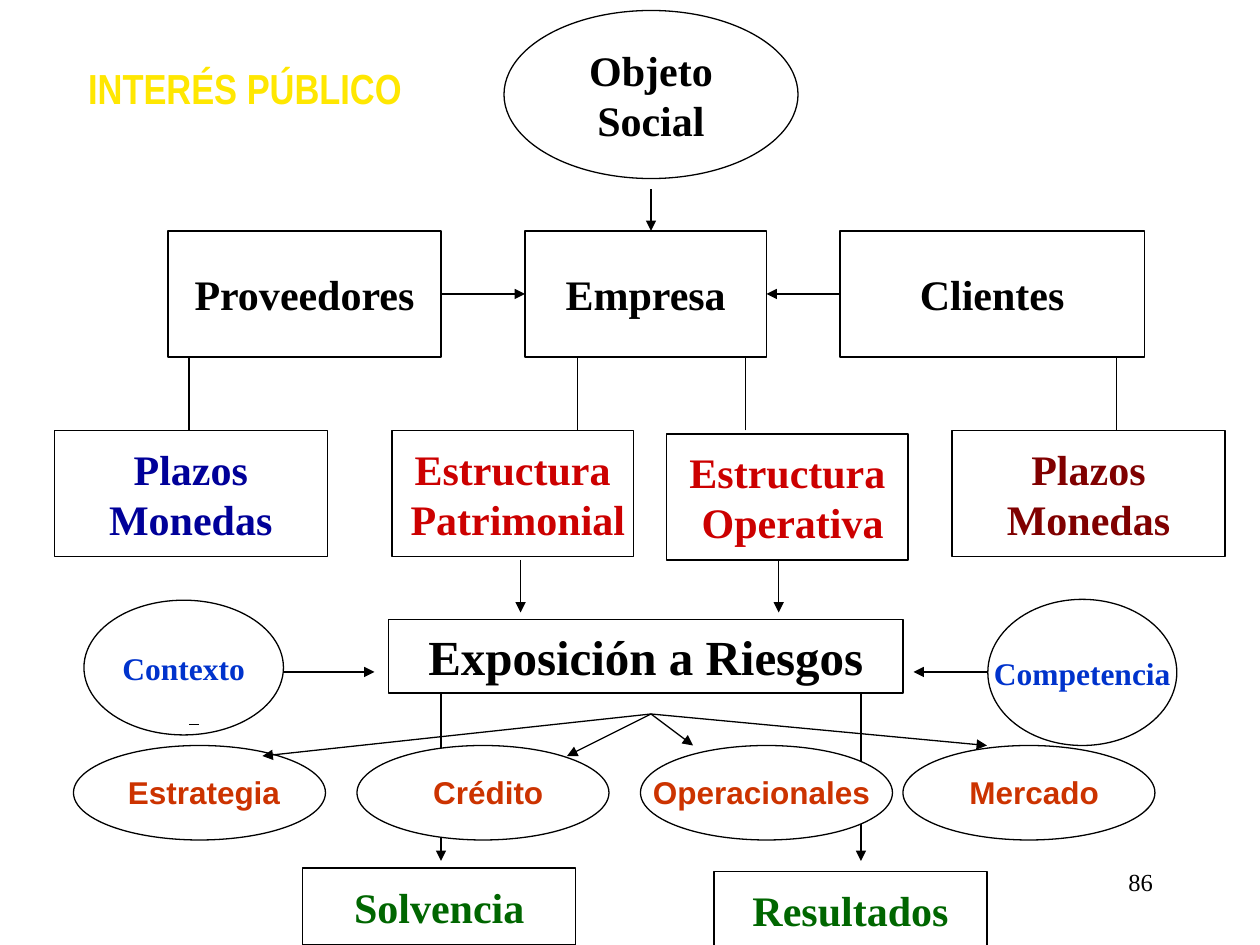
import pptx
import pptx.util
import pptx.dml.color
import pptx.enum.shapes
import pptx.enum.text
import pptx.oxml.ns
from lxml import etree

Pt = pptx.util.Pt
Kind = pptx.enum.shapes.MSO_SHAPE
Align = pptx.enum.text.PP_ALIGN
Anchor = pptx.enum.text.MSO_ANCHOR
qn = pptx.oxml.ns.qn

HUES = {
    "black": "000000", "white": "FFFFFF", "gold": "FFE701",
    "navy": "000099", "maroon": "800000", "red": "CC0000",
    "blue": "0033CC", "rust": "CC3300", "green": "006600",
}


def color(name):
    return pptx.dml.color.RGBColor.from_string(HUES[name])


def write(frame, text, size=24, hue="black", font="Times New Roman",
          bold=True, align=Align.CENTER, anchor=Anchor.MIDDLE,
          wrap=False, shift=0):
    """Fill a frame, one paragraph a line; shift indents the later lines."""
    frame.word_wrap = wrap
    frame.auto_size = pptx.enum.text.MSO_AUTO_SIZE.NONE
    frame.vertical_anchor = anchor
    frame.margin_left = frame.margin_right = Pt(7.2)
    frame.margin_top = frame.margin_bottom = Pt(3.6)
    for i, line in enumerate(text.split("\n")):
        para = frame.paragraphs[0] if i == 0 else frame.add_paragraph()
        para.alignment = align
        if i and shift:
            para._p.get_or_add_pPr().set("marL", str(Pt(shift)))
        run = para.add_run()
        run.text = line
        run.font.size = Pt(size)
        run.font.name = font
        run.font.bold = bold
        run.font.color.rgb = color(hue)


def node(slide, kind, x, y, w, h, text="", fill=None, **style):
    """Add an outlined shape, with text if there is any."""
    shape = slide.shapes.add_shape(kind, Pt(x), Pt(y), Pt(w), Pt(h))
    shape.shadow.inherit = False
    shape.line.color.rgb = color("black")
    shape.line.width = Pt(0.75)
    if fill:
        shape.fill.solid()
        shape.fill.fore_color.rgb = color(fill)
    else:
        shape.fill.background()
    if text:
        write(shape.text_frame, text, **style)
    return shape


def label(slide, x, y, w, h, text, **style):
    box = slide.shapes.add_textbox(Pt(x), Pt(y), Pt(w), Pt(h))
    write(box.text_frame, text, anchor=Anchor.TOP, wrap=True, **style)


def link(slide, x1, y1, x2, y2, arrow=True):
    """Add a straight line, with an arrowhead at its end unless told not to."""
    line = slide.shapes.add_connector(
        pptx.enum.shapes.MSO_CONNECTOR.STRAIGHT, Pt(x1), Pt(y1), Pt(x2), Pt(y2))
    line.line.color.rgb = color("black")
    line.line.width = Pt(0.75)
    if arrow:
        etree.SubElement(line.line._get_or_add_ln(), qn("a:tailEnd"), type="triangle")
    etree.SubElement(line._element.spPr, qn("a:effectLst"))
    return line


def header(slide, x, y, w, h):
    """Title at the left, social purpose at the right."""
    title = slide.shapes.title
    title.left, title.top, title.width, title.height = Pt(x), Pt(y + 26), Pt(242), Pt(69)
    write(title.text_frame, "INTERÉS PÚBLICO", hue="gold",
          font="Arial Narrow", anchor=Anchor.TOP)
    node(slide, Kind.OVAL, x + w - 168, y, 168, h, "Objeto\nSocial")


def actors(slide, x, y, w, h):
    """Suppliers and clients on both sides of the firm."""
    maker = node(slide, Kind.RECTANGLE, x, y, 156, h, "Proveedores")
    firm = node(slide, Kind.RECTANGLE, x + 204, y, 138, h, "Empresa")
    buyer = node(slide, Kind.RECTANGLE, x + w - 174, y, 174, h, "Clientes")
    mid = y + h / 2
    for side, start, begin, stop, end in ((maker, x + 156, 3, x + 204, 1),
                                          (buyer, x + w - 174, 1, x + 342, 3)):
        line = link(slide, start, mid, stop, mid)
        line.begin_connect(side, begin)
        line.end_connect(firm, end)
    link(slide, x + 276, y - 24, x + 276, y)


def details(slide, x, y, w, h):
    """Terms and structures hanging from the actors."""
    for dx, dy, wide, text, hue, shift in (
            (0, 0, 156, "Plazos\nMonedas", "navy", 0),
            (193, 0, 138, "Estructura\nPatrimonial", "red", 6),
            (350, 2, 138, "Estructura\nOperativa", "red", 6),
            (w - 156, 0, 156, "Plazos\nMonedas", "maroon", 0)):
        node(slide, Kind.RECTANGLE, x + dx, y + dy, wide, h, text, hue=hue, shift=shift)
    for dx in (77, 299, 395, 607):
        link(slide, x + dx, y, x + dx, y - 42, arrow=False)
    for dx in (266.5, 414):
        link(slide, x + dx, y + h + 2, x + dx, y + h + 32)


def exposure(slide, x, y, w, h):
    """Risk exposure between its context and its rivals."""
    node(slide, Kind.RECTANGLE, x + 174, y + 11.5, 294, 42, "Exposición a Riesgos", size=28)
    node(slide, Kind.OVAL, x, y + 0.5, 114, 77, "Contexto", size=18, hue="blue")
    node(slide, Kind.OVAL, x + w - 108, y, 108, h, "Competencia", size=18, hue="blue")
    link(slide, x + 114, y + 41.5, x + 166, y + 41.5)
    link(slide, x + w - 108, y + 41.5, x + 474, y + 41.5)
    for dx in (204, 444):
        link(slide, x + dx, y + 53.5, x + dx, y + 149.5)
    link(slide, x + 60, y + 71.5, x + 66, y + 71.5, arrow=False)


def risks(slide, x, y, w, h):
    """Four kinds of risk, with arrows fanning out to them."""
    wide = 144
    for dx, pad, text, align in (
            (0, 24, "Estrategia", Align.LEFT),
            (162, 24, "Crédito", Align.CENTER),
            (324, 0, "Operacionales", Align.LEFT),
            (w - wide, 24, "Mercado", Align.CENTER)):
        node(slide, Kind.OVAL, x + dx, y, wide, h, fill="white")
        label(slide, x + dx + pad, y + 12, wide - 1.75 * pad, 29, text,
              size=18, hue="rust", font="Arial", align=align)
    for dx, dy in ((108, 6), (282, 6), (354, 0), (522, 0)):
        link(slide, x + 330, y - 18, x + dx, y + dy)


def results(slide, x, y, w, h):
    """Outcomes and the page number."""
    node(slide, Kind.RECTANGLE, x, y, 156, h, "Solvencia", hue="green")
    node(slide, Kind.RECTANGLE, x + 235, y + 2, 156, h, "Resultados", hue="green")
    label(slide, x + w - 150, y - 4, 150, 36, "86", size=14, bold=False, align=Align.RIGHT)


def main():
    deck = pptx.Presentation()
    deck.slide_width, deck.slide_height = Pt(720), Pt(540)
    slide = deck.slides.add_slide(deck.slide_layouts[5])
    header(slide, 19, 6, 437, 96)
    actors(slide, 96, 132, 558, 72)
    details(slide, 31, 246, 669, 72)
    exposure(slide, 48, 342.5, 624.5, 83.5)
    risks(slide, 42, 426, 618, 54)
    results(slide, 173, 496, 493, 44)
    deck.save("out.pptx")


if __name__ == "__main__":
    main()
